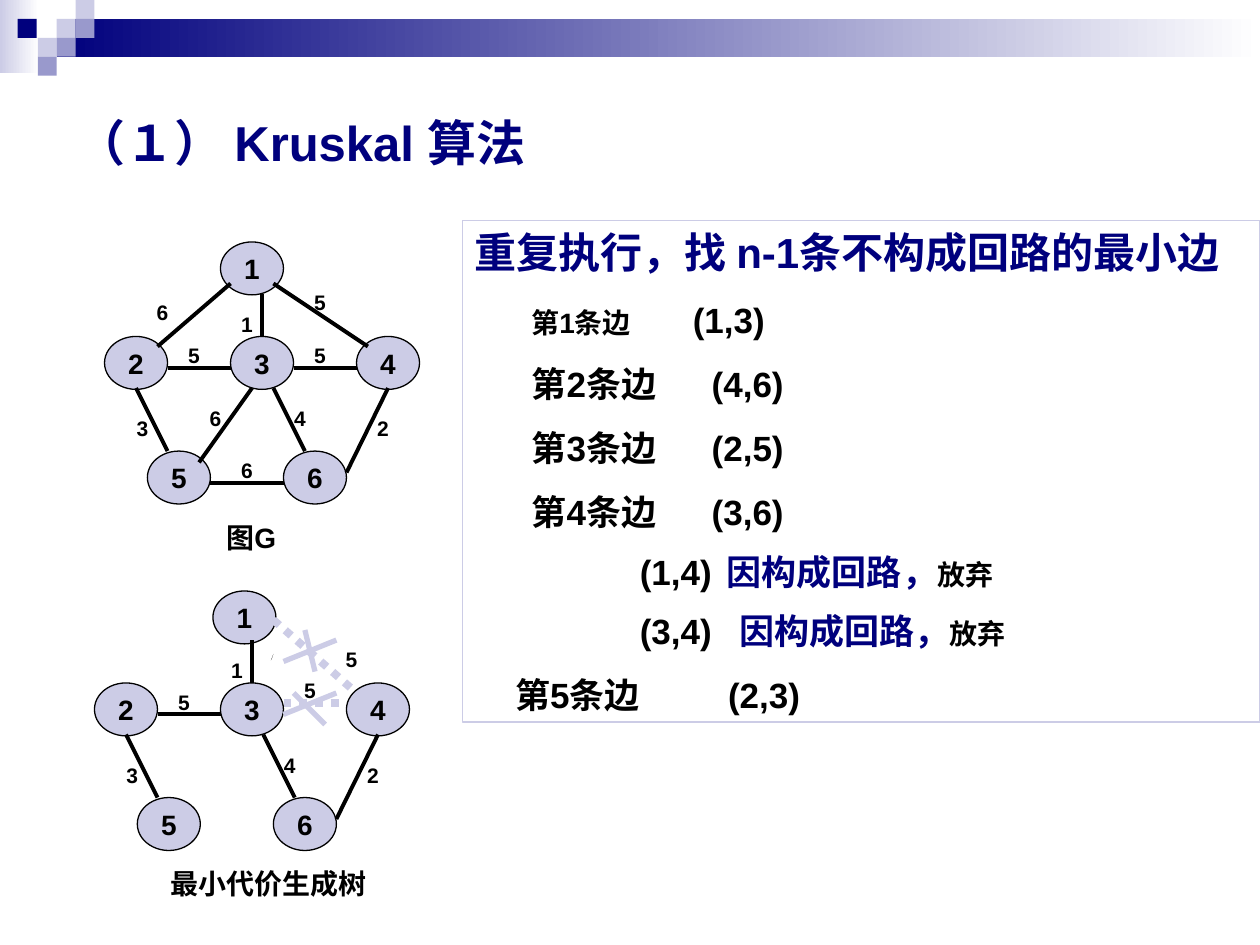
import pptx
import pptx.dml.color
import pptx.enum.dml
import pptx.enum.shapes
import pptx.enum.text
import pptx.oxml
import pptx.util
from pptx.util import Inches

NAVY, LILAC, VIOLET, BLACK, WHITE = "00007D", "CCCCE6", "9999CC", "000000", "FFFFFF"
SHAPES = pptx.enum.shapes.MSO_SHAPE
ALIGN = pptx.enum.text.PP_ALIGN
NODE_SIZE = (0.5, 0.42)
TREE_OFFSET = (-0.08, 2.75)

GRAPH_NODES = {1: (1.75, 1.92), 2: (0.83, 2.67), 3: (1.83, 2.67),
               4: (2.83, 2.67), 5: (1.17, 3.58), 6: (2.25, 3.58)}
# (node, node): (start, end, weight, weight position)
EDGES = {
    (2, 3): ((1.33, 2.92), (1.83, 2.92), 5, (1.33, 2.67)),
    (3, 4): ((2.33, 2.92), (2.83, 2.92), 5, (2.33, 2.67)),
    (1, 3): ((2.08, 2.33), (2.08, 2.67), 1, (1.75, 2.42)),
    (2, 5): ((1.08, 3.08), (1.33, 3.58), 3, (0.92, 3.25)),
    (3, 5): ((1.58, 3.67), (2, 3.08), 6, (1.5, 3.17)),
    (3, 6): ((2.17, 3.08), (2.42, 3.58), 4, (2.17, 3.17)),
    (4, 6): ((2.75, 3.75), (3.08, 3.08), 2, (2.83, 3.25)),
    (5, 6): ((1.67, 3.83), (2.25, 3.83), 6, (1.75, 3.58)),
    (1, 2): ((1.25, 2.75), (1.83, 2.25), 6, (1.08, 2.33)),
    (1, 4): ((2.92, 2.75), (2.17, 2.25), 5, (2.33, 2.25)),
}
TREE_EDGES = [(1, 3), (4, 6), (2, 5), (3, 6), (2, 3)]
REJECTED_EDGES = [((2.25, 5.58), (2.75, 5.58)), ((2.17, 4.92), (2.83, 5.5))]
REJECTED_WEIGHTS = [(2.58, 5.08), (2.25, 5.33)]
CROSS_STROKES = [((2.25, 5.25), (2.67, 5.08)), ((2.42, 5), (2.5, 5.33)),
                 ((2.25, 5.67), (2.67, 5.5)), ((2.33, 5.5), (2.58, 5.75))]

# start, second column, space before, runs of (text, size, colour)
STEPS = [
    (0.45, 1.73, 12.5, [("第1条边", 16, BLACK), ("\t(1,3)", 20, BLACK)]),
    *[(0.45, 1.88, 12.5, [(f"第{number}条边\t{edge}", 20, BLACK)])
      for number, edge in ((2, "(4,6)"), (3, "(2,5)"), (4, "(3,6)"))],
    *[(1.31, column, 10, [(f"{edge}\t", 20, BLACK), ("因构成回路，", 20, NAVY),
                          ("放弃", 16, BLACK)])
      for edge, column in (("(1,4)", 2), ("(3,4)", 2.1))],
    (0.32, 2.01, 12.5, [("第5条边\t(2,3)", 20, BLACK)]),
]


def rgb(value):
    return pptx.dml.color.RGBColor.from_string(value)


def shift(point, offset):
    return point[0] + offset[0], point[1] + offset[1]


def style_font(font, size, color):
    font.name = "Arial"
    font.size = pptx.util.Pt(size)
    font.bold = True
    font.color.rgb = rgb(color)


def set_indent(paragraph, start, column):
    """Start the line at one place and hang its tab at another."""
    properties = paragraph._p.get_or_add_pPr()
    properties.set("marL", str(Inches(column)))
    properties.set("indent", str(Inches(start - column)))


def add_bar(slide, left, top, width, height, *colors):
    """Add a borderless block, solid or fading between two colours."""
    bar = slide.shapes.add_shape(SHAPES.RECTANGLE, Inches(left), Inches(top),
                                 Inches(width), Inches(height))
    bar.shadow.inherit = False
    bar.line.fill.background()
    if len(colors) == 1:
        bar.fill.solid()
        bar.fill.fore_color.rgb = rgb(colors[0])
        return
    bar.fill.gradient()
    bar.fill.gradient_angle = 0
    for stop, color, position in zip(bar.fill.gradient_stops, colors, (0, 1)):
        stop.color.rgb = rgb(color)
        stop.position = position


def add_header(slide):
    add_bar(slide, 0, 0, 0.31, 0.58, LILAC, WHITE)
    add_bar(slide, 0.45, 0.15, 9.55, 0.3, NAVY, WHITE)
    for left, top, color in ((0.45, 0.15, LILAC), (0.6, 0, LILAC), (0.6, 0.15, VIOLET),
                             (0.3, 0.3, LILAC), (0.14, 0.15, NAVY),
                             (0.45, 0.3, VIOLET), (0.3, 0.45, VIOLET)):
        add_bar(slide, left, top, 0.15, 0.15, color)


def add_label(slide, text, position, size, font_size, color=BLACK, align=ALIGN.LEFT):
    label = slide.shapes.add_textbox(*map(Inches, (*position, *size)))
    label.text_frame.word_wrap = True
    paragraph = label.text_frame.paragraphs[0]
    paragraph.text = text
    paragraph.alignment = align
    style_font(paragraph.font, font_size, color)
    return paragraph


def add_weight(slide, weight, position):
    add_label(slide, str(weight), position, (0.42, 0.3), 12, align=ALIGN.CENTER)


def add_node(slide, number, position):
    node = slide.shapes.add_shape(SHAPES.OVAL, *map(Inches, (*position, *NODE_SIZE)))
    node.shadow.inherit = False
    node.fill.solid()
    node.fill.fore_color.rgb = rgb(LILAC)
    node.line.color.rgb = rgb(BLACK)
    node.line.width = pptx.util.Pt(0.75)
    frame = node.text_frame
    frame.word_wrap = False
    frame.vertical_anchor = pptx.enum.text.MSO_ANCHOR.MIDDLE
    paragraph = frame.paragraphs[0]
    paragraph.text = str(number)
    paragraph.alignment = ALIGN.CENTER
    style_font(paragraph.font, 16, BLACK)


def add_line(slide, start, end, color=BLACK, width=2.25, dotted=False):
    line = slide.shapes.add_connector(pptx.enum.shapes.MSO_CONNECTOR.STRAIGHT,
                                      *map(Inches, (*start, *end)))
    line.line.color.rgb = rgb(color)
    line.line.width = pptx.util.Pt(width)
    if dotted:
        line.line.dash_style = pptx.enum.dml.MSO_LINE.ROUND_DOT
    line._element.spPr.append(pptx.oxml.parse_xml(
        '<a:effectLst xmlns:a="http://schemas.openxmlformats.org/drawingml/2006/main"/>'))


def add_network(slide, nodes, edges, offset=(0, 0)):
    for number, position in nodes.items():
        add_node(slide, number, position)
    for edge in edges:
        start, end, _, _ = EDGES[edge]
        add_line(slide, shift(start, offset), shift(end, offset))
    for edge in edges:
        _, _, weight, position = EDGES[edge]
        add_weight(slide, weight, shift(position, offset))


def add_rejections(slide):
    for start, end in REJECTED_EDGES:
        add_line(slide, start, end, LILAC, 4.5, dotted=True)
    for position in REJECTED_WEIGHTS:
        add_weight(slide, 5, position)
    builder = slide.shapes.build_freeform(Inches(2.15), Inches(5.24), scale=1.0)
    builder.add_line_segments([(Inches(2.16), Inches(5.22)), (Inches(2.17), Inches(5.19))])
    tick = builder.convert_to_shape()
    tick.shadow.inherit = False
    tick.fill.solid()
    tick.fill.fore_color.rgb = rgb(BLACK)
    tick.line.fill.background()
    for start, end in CROSS_STROKES:
        add_line(slide, start, end, LILAC, 3)


def add_steps(slide):
    panel = slide.shapes.add_shape(SHAPES.RECTANGLE, Inches(3.67), Inches(1.75),
                                   Inches(6.33), Inches(3.98))
    panel.shadow.inherit = False
    panel.fill.background()
    panel.line.color.rgb = rgb(LILAC)
    panel.line.width = pptx.util.Pt(0.75)
    frame = panel.text_frame
    frame.word_wrap = True
    frame.vertical_anchor = pptx.enum.text.MSO_ANCHOR.TOP
    heading = frame.paragraphs[0]
    heading.text = "重复执行，找 n-1条不构成回路的最小边"
    heading.alignment = ALIGN.LEFT
    style_font(heading.font, 24, NAVY)
    for start, column, space, runs in STEPS:
        step = frame.add_paragraph()
        step.alignment = ALIGN.LEFT
        step.space_before = pptx.util.Pt(space)
        set_indent(step, start, column)
        for text, size, color in runs:
            run = step.add_run()
            run.text = text
            style_font(run.font, size, color)


def main():
    deck = pptx.Presentation()
    deck.slide_width, deck.slide_height = Inches(10), Inches(7.5)
    slide = deck.slides.add_slide(deck.slide_layouts[6])
    add_header(slide)
    add_network(slide, GRAPH_NODES, EDGES)
    caption = add_label(slide, "图G", (1.5, 4.08), (1.33, 0.37), 16)
    set_indent(caption, 0.2, 0.2)
    add_steps(slide)
    add_label(slide, "最小代价生成树", (1.17, 6.83), (1.92, 0.37), 16, align=ALIGN.CENTER)
    tree_nodes = {number: shift(position, TREE_OFFSET)
                  for number, position in GRAPH_NODES.items()}
    tree_nodes[1] = (1.69, 4.69)
    add_network(slide, tree_nodes, TREE_EDGES, TREE_OFFSET)
    add_rejections(slide)
    add_label(slide, "（１） Kruskal 算法", (0.51, 0.84), (3.94, 1.04), 28, NAVY)
    deck.save("out.pptx")


if __name__ == "__main__":
    main()
